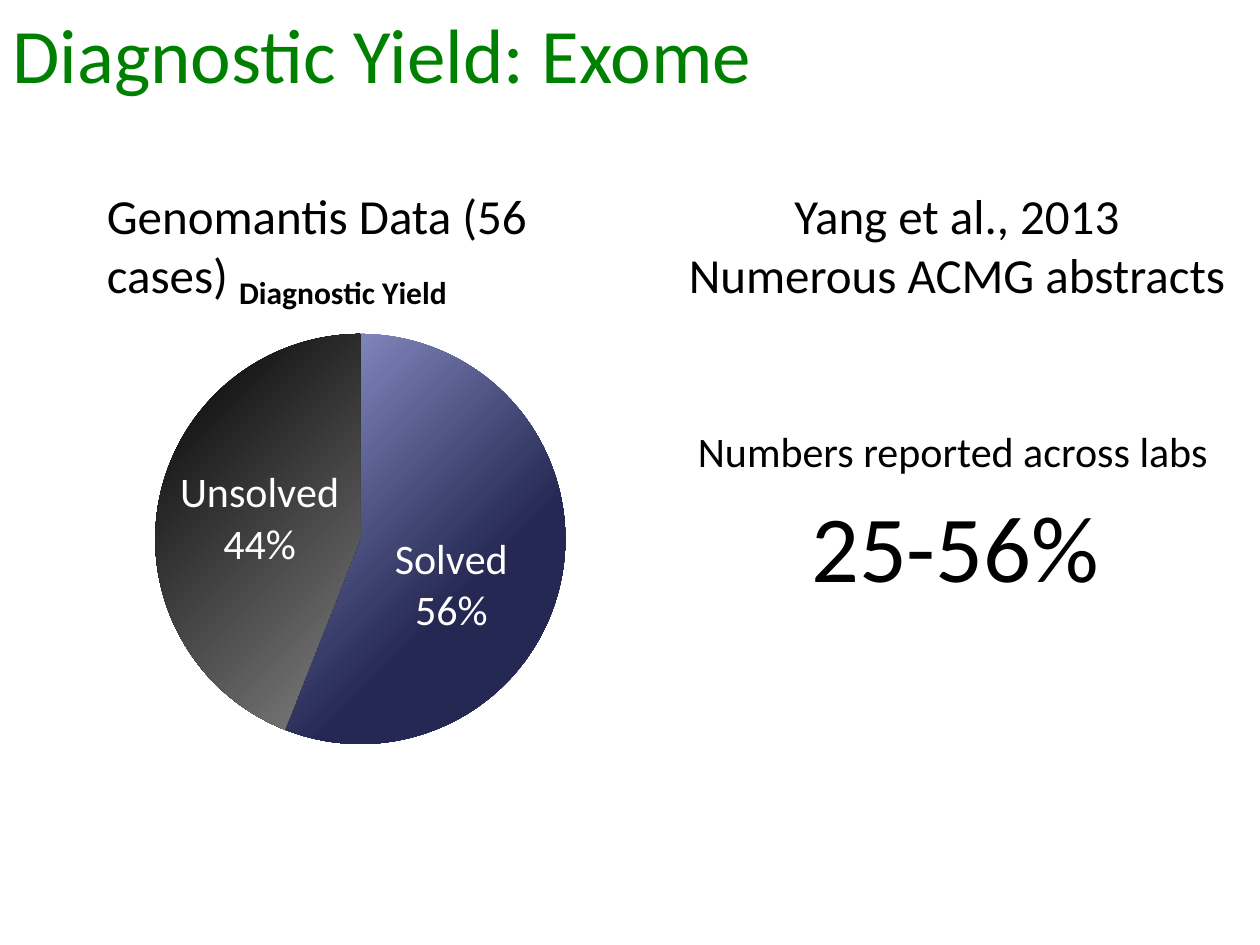
from dataclasses import dataclass

from pptx import Presentation, util as u
from pptx.chart.data import CategoryChartData
from pptx.dml.color import RGBColor
from pptx.enum import chart as ch, text
from pptx.oxml import parse_xml
from pptx.oxml.ns import nsdecls


@dataclass(frozen=True)
class Theme:
    font: str = "Calibri"
    green: str = "008000"
    black: str = "000000"
    white: str = "FFFFFF"
    # Gradient stops of each slice: (percent, colour)
    solved: tuple = ((36, "242852"), (100, "9297CF"))
    unsolved: tuple = ((0, "808080"), (100, "000000"))
    title: int = 44
    figure: int = 54
    heading: int = 28
    label: int = 24
    chart_title: int = 18
    chart_base: int = 10


class Deck:
    """Holds the theme and the current slide; boxes are shares of its size."""

    def __init__(self, theme):
        self.t = theme
        self.prs = Presentation()
        self.prs.slide_width, self.prs.slide_height = u.Inches(10), u.Inches(7.5)
        self.s = self.prs.slides.add_slide(self.prs.slide_layouts[6])

    def place(self, x, y, w, h):
        W, H = self.prs.slide_width, self.prs.slide_height
        return int(x * W), int(y * H), int(w * W), int(h * H)

    def style(self, font, size, color, bold=False):
        font.name, font.size, font.bold = self.t.font, u.Pt(size), bold
        font.color.rgb = RGBColor.from_string(color)

    def text(self, box, lines, size, color=None, align=text.PP_ALIGN.LEFT):
        tf = self.s.shapes.add_textbox(*self.place(*box)).text_frame
        tf.word_wrap = False
        tf.auto_size = text.MSO_AUTO_SIZE.SHAPE_TO_FIT_TEXT
        for i, line in enumerate(lines):
            p = tf.add_paragraph() if i else tf.paragraphs[0]
            p.alignment = align
            r = p.add_run()
            r.text = line
            self.style(r.font, size, color or self.t.black)

    @staticmethod
    def layout(**parts):
        """Manual chart layout, in shares of the chart's size."""
        body = "".join(f'<c:{k} val="{v}"/>' for k, v in parts.items())
        return parse_xml(f'<c:layout {nsdecls("c")}><c:manualLayout>{body}'
                         '</c:manualLayout></c:layout>')

    @staticmethod
    def gradient(stops):
        gs = "".join(f'<a:gs pos="{pos * 1000}"><a:srgbClr val="{c}"/></a:gs>'
                     for pos, c in stops)
        return parse_xml(
            f'<a:gradFill {nsdecls("a")} rotWithShape="1"><a:gsLst>{gs}</a:gsLst>'
            '<a:path path="circle"><a:fillToRect l="100000" t="100000"/></a:path>'
            '</a:gradFill>')

    def pie(self, box, title, slices, fills):
        data = CategoryChartData(number_format="General")
        data.categories = list(slices)
        data.add_series("Series 1", list(slices.values()))
        chart = self.s.shapes.add_chart(
            ch.XL_CHART_TYPE.PIE, *self.place(*box), data).chart
        self.style(chart.font, self.t.chart_base, self.t.black)
        chart.has_legend = False

        # Chart title
        chart.has_title = True
        p = chart.chart_title.text_frame.paragraphs[0]
        r = p.add_run()
        r.text = title
        self.style(r.font, self.t.chart_title, self.t.black, bold=True)
        c_title = chart._chartSpace.chart.find("{*}title")
        for old in c_title.findall("{*}layout"):
            c_title.remove(old)
        c_title.find("{*}tx").addnext(
            self.layout(xMode="edge", yMode="edge", x=0.39, y=0.08))

        # Pie position
        area = chart._chartSpace.chart.plotArea
        for old in area.findall("{*}layout"):
            area.remove(old)
        area.insert(0, self.layout(layoutTarget="inner", xMode="edge", yMode="edge",
                                   x=0.31, y=0.2, w=0.42, h=0.74))

        # Slice fills
        plot = chart.plots[0]
        plot.vary_by_categories = True
        ser = plot.series[0]
        for i, stops in enumerate(fills):
            fmt = ser.points[i].format
            fmt.line.fill.background()
            fmt.fill.solid()
        for dpt, stops in zip(ser._element.findall("{*}dPt"), fills):
            solid = dpt.find("{*}spPr").find("{*}solidFill")
            solid.getparent().replace(solid, self.gradient(stops))

        # Labels: name over percentage, the first one moved down a little
        first = ser.points[0].data_label
        first.position = ch.XL_LABEL_POSITION.CENTER
        labels = ser.data_labels
        labels.position = ch.XL_LABEL_POSITION.CENTER
        for lab in (first, labels):
            self.style(lab.font, self.t.label, self.t.white)
        root = labels._element
        moved = root.find("{*}dLbl")
        for el in (moved, root):
            for tag, on in (("showVal", 0), ("showCatName", 1), ("showPercent", 1)):
                el.find("{*}" + tag).set("val", str(on))
            last = el.find("{*}showBubbleSize")
            if last is None:
                last = el.find("{*}showPercent")
            last.addnext(parse_xml(
                f'<c:separator {nsdecls("c")}>\n</c:separator>'))
        moved.find("{*}idx").addnext(self.layout(x=-0.01, y=0.05))


def main():
    t = Theme()
    d = Deck(t)
    center = text.PP_ALIGN.CENTER

    # Slide title
    d.text((0, 0, 0.62, 0.11), ["Diagnostic Yield: Exome"], t.title, t.green)

    # Left column: own cases
    d.pie((-0.117, 0.233, 0.775, 0.592), "Diagnostic Yield",
          {"Solved": 56, "Unsolved": 44}, (t.solved, t.unsolved))
    d.text((0.075, 0.19, 0.433, 0.076), ["Genomantis Data (56 cases)"], t.heading)

    # Right column: published numbers
    d.text((0.533, 0.19, 0.453, 0.139),
           ["Yang et al., 2013", "Numerous ACMG abstracts"], t.heading, align=center)
    d.text((0.544, 0.444, 0.431, 0.067), ["Numbers reported across labs"], t.label)
    d.text((0.634, 0.51, 0.251, 0.135), ["25-56%"], t.figure)

    d.prs.save("out.pptx")


if __name__ == "__main__":
    main()
